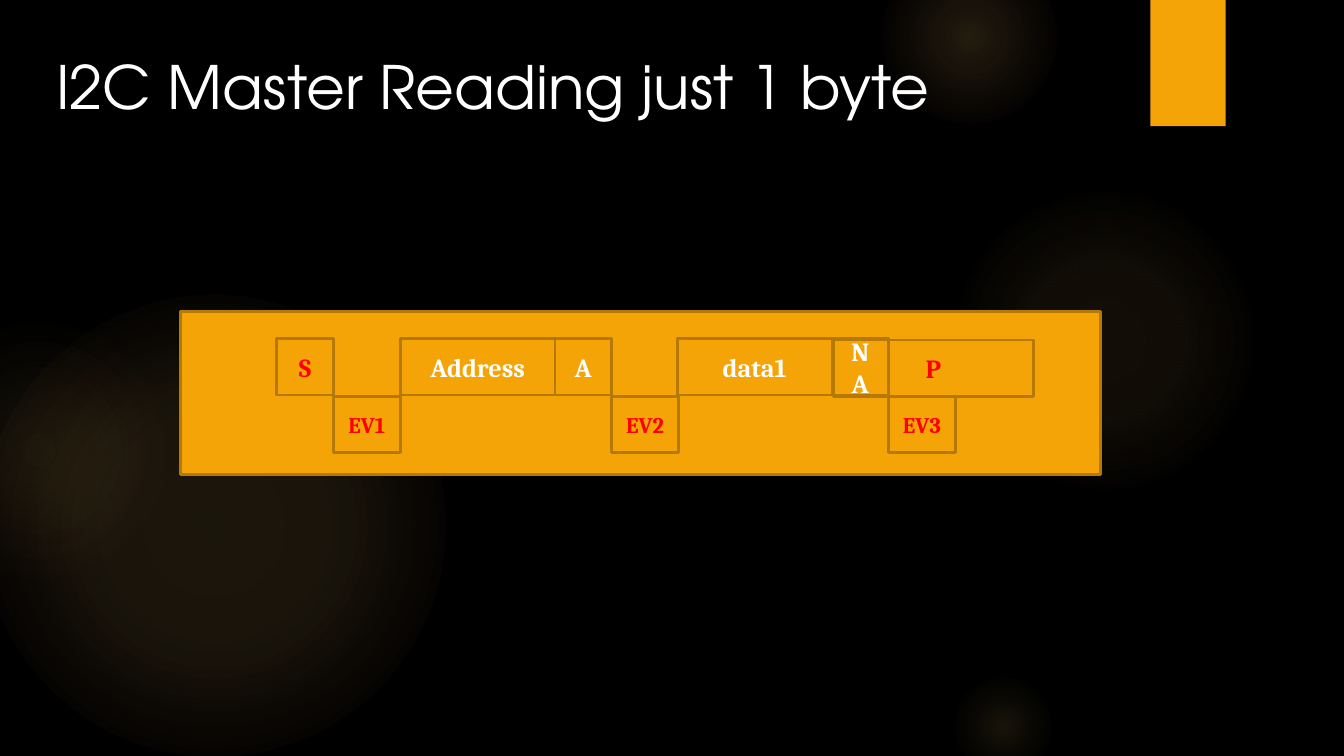
from dataclasses import dataclass

from lxml import etree
from pptx import Presentation
from pptx import util as u
from pptx.dml.color import RGBColor
from pptx.enum import shapes, text
from pptx.oxml.ns import nsdecls


@dataclass(frozen=True)
class Theme:
    background: str = "000000"
    accent: str = "F5A408"
    outline: str = "B57906"
    glow: str = "FAC96A"
    warm_glow: str = "F59B74"
    light: str = "FFFFFF"
    signal: str = "FF0000"
    title_font: str = "TeX Gyre Adventor"
    field_font: str = "Cambria"
    title_size: int = 32
    field_size: int = 14
    event_size: int = 12
    line_width: float = 1.5


class SlideBuilder:
    def __init__(self, slide, theme):
        self.slide = slide
        self.theme = theme
        background = slide.background.fill
        background.solid()
        background.fore_color.rgb = RGBColor.from_string(theme.background)

    def style_run(self, paragraph, font_name, size, color, bold=False):
        font = paragraph.runs[0].font
        font.name = font_name
        font.size = u.Pt(size)
        font.bold = bold
        font.color.rgb = RGBColor.from_string(color)

    def add_shape(self, kind, left, top, width, height):
        shape = self.slide.shapes.add_shape(
            kind, u.Inches(left), u.Inches(top), u.Inches(width), u.Inches(height))
        shape.shadow.inherit = False
        shape.fill.background()
        shape.line.fill.background()
        return shape

    def add_glow(self, left, top, size, stops):
        """Circle with a radial gradient; stops are (position %, colour, opacity %)."""
        shape = self.add_shape(shapes.MSO_SHAPE.OVAL, left, top, size, size)
        stop_xml = "".join(
            f'<a:gs pos="{position * 1000}"><a:srgbClr val="{color}">'
            f'<a:alpha val="{opacity * 1000}"/></a:srgbClr></a:gs>'
            for position, color, opacity in stops)
        gradient = etree.fromstring(
            f'<a:gradFill {nsdecls("a")} rotWithShape="1"><a:gsLst>{stop_xml}</a:gsLst>'
            '<a:path path="circle"><a:fillToRect l="50000" t="50000" r="50000" b="50000"/>'
            '</a:path></a:gradFill>')
        properties = shape.element.spPr
        properties.replace(properties.find("{*}noFill"), gradient)

    def add_box(self, left, top, width, height, filled=False, outlined=True):
        shape = self.add_shape(shapes.MSO_SHAPE.RECTANGLE, left, top, width, height)
        if filled:
            shape.fill.solid()
            shape.fill.fore_color.rgb = RGBColor.from_string(self.theme.accent)
        if outlined:
            shape.line.color.rgb = RGBColor.from_string(self.theme.outline)
            shape.line.width = u.Pt(self.theme.line_width)
        return shape

    def add_field(self, label, left, top, width, height, size, color):
        text_frame = self.add_box(left, top, width, height).text_frame
        text_frame.word_wrap = True
        text_frame.vertical_anchor = text.MSO_ANCHOR.MIDDLE
        text_frame.text = label
        paragraph = text_frame.paragraphs[0]
        paragraph.alignment = text.PP_ALIGN.CENTER
        self.style_run(paragraph, self.theme.field_font, size, color, bold=True)

    def add_title(self, title, left, top, width, height):
        box = self.slide.shapes.add_textbox(
            u.Inches(left), u.Inches(top), u.Inches(width), u.Inches(height))
        text_frame = box.text_frame
        text_frame.word_wrap = False
        text_frame.auto_size = text.MSO_AUTO_SIZE.SHAPE_TO_FIT_TEXT
        text_frame.text = title
        self.style_run(text_frame.paragraphs[0], self.theme.title_font,
                       self.theme.title_size, self.theme.light)


def main():
    theme = Theme()
    presentation = Presentation()
    presentation.slide_width = u.Inches(10)
    presentation.slide_height = presentation.slide_width * 9 // 16
    slide = presentation.slides.add_slide(presentation.slide_layouts[6])
    builder = SlideBuilder(slide, theme)

    # Background glows: left, top, size, centre and middle opacity, middle and end stop, end colour
    glows = [
        (-0.13, 2.19, 3.44, 11, 10, 36, 75, theme.glow),
        (-0.69, 2.38, 1.94, 8, 5, 36, 71, theme.warm_glow),
        (7.06, 1.38, 2.31, 7, 6, 36, 69, theme.glow),
        (6.56, -0.38, 1.31, 14, 7, 36, 73, theme.glow),
        (7.06, 5, 0.81, 10, 5, 31, 66, theme.glow),
    ]
    for left, top, size, centre, middle, middle_stop, end_stop, end_color in glows:
        builder.add_glow(left, top, size, [
            (0, theme.glow, centre), (middle_stop, theme.glow, middle), (end_stop, end_color, 0)])

    # Corner flag and sequence panel
    builder.add_box(8.56, 0, 0.56, 0.94, filled=True, outlined=False)
    builder.add_box(1.34, 2.32, 6.85, 1.21, filled=True)

    # Bus sequence: fields in the upper row, events in the lower row
    height, field_top, stop_top, event_top = 0.42, 2.52, 2.53, 2.95
    bit_width, byte_width, event_width, stop_width = 0.42, 1.15, 0.5, 1.49
    sequence = [
        ("S", 2.06, field_top, bit_width, theme.signal),
        ("EV1", 2.48, event_top, event_width, theme.signal),
        ("Address", 2.98, field_top, byte_width, theme.light),
        ("A", 4.13, field_top, bit_width, theme.light),
        ("EV2", 4.55, event_top, event_width, theme.signal),
        ("data1", 5.04, field_top, byte_width, theme.light),
        ("NA", 6.19, field_top, bit_width, theme.light),
        ("P", 6.2, stop_top, stop_width, theme.signal),
        ("EV3", 6.61, event_top, event_width, theme.signal),
    ]
    for label, left, top, width, color in sequence:
        size = theme.event_size if top == event_top else theme.field_size
        builder.add_field(label, left, top, width, height, size, color)

    # Title
    builder.add_title("I2C Master Reading just 1 byte", 0.32, 0.32, 6.78, 0.64)

    presentation.save("out.pptx")


if __name__ == "__main__":
    main()
